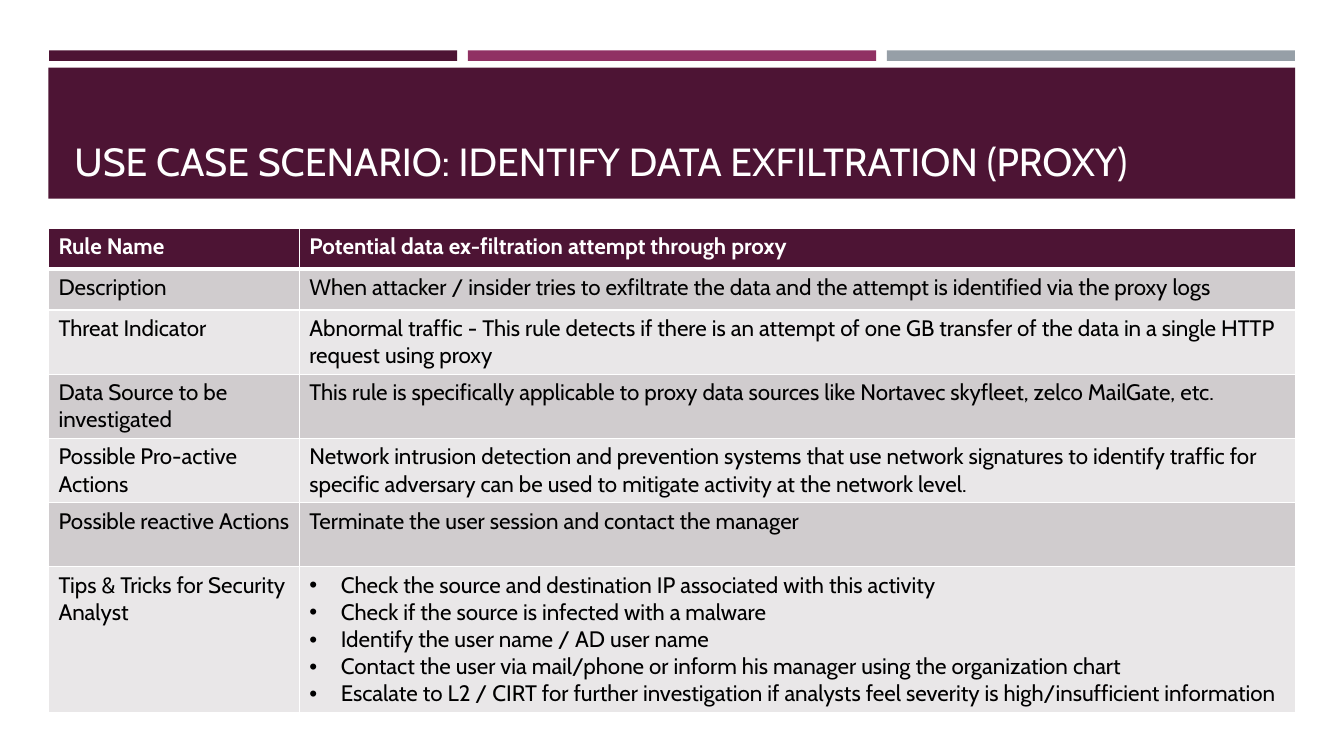
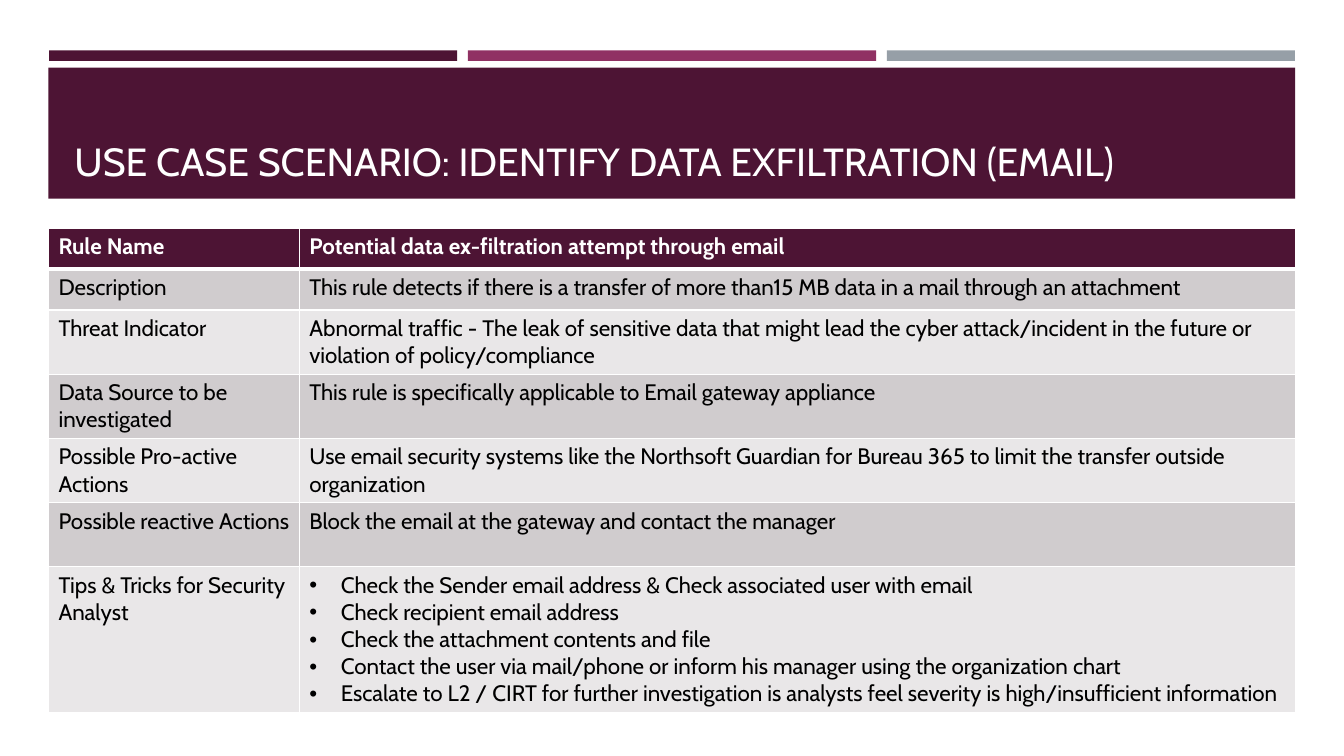
from lxml import etree
from pptx import Presentation
from pptx.dml.color import RGBColor
from pptx.enum.shapes import MSO_SHAPE
from pptx.enum.text import MSO_ANCHOR, PP_ALIGN
from pptx.oxml.ns import qn
from pptx.util import Pt

RECT = MSO_SHAPE.RECTANGLE
LOW = MSO_ANCHOR.BOTTOM
LEFT = PP_ALIGN.LEFT
FONT = "Cabin"
PLUM, ROSE, GREY = "4D1434", "903163", "969FA7"
WHITE, BLACK = "FFFFFF", "000000"
DARK, LIGHT = "D0CCCE", "E9E7E8"
EDGE, WIDE = 34.6, 890.6
COLS = [179.2, 711.4]
ROWS = [29.2, 29.2, 45.7, 45.7, 45.7, 45.7, 104.2]
LABELS = [
    "Rule Name",
    "Description",
    "Threat Indicator",
    "Data Source to be investigated",
    "Possible Pro-active Actions",
    "Possible reactive Actions",
    "Tips & Tricks for Security Analyst",
]
PAGES = [
    ("USE CASE SCENARIO: IDENTIFY DATA EXFILTRATION (PROXY)", [
        "Potential data ex-filtration attempt through proxy",
        "When attacker / insider tries to exfiltrate the data and the attempt is identified via the proxy logs",
        "Abnormal traffic - This rule detects if there is an attempt of one GB transfer of the data in a single HTTP request using proxy",
        "This rule is specifically applicable to proxy data sources like Nortavec skyfleet, zelco MailGate, etc.",
        "Network intrusion detection and prevention systems that use network signatures to identify traffic for specific adversary can be used to mitigate activity at the network level.",
        "Terminate the user session and contact the manager",
        "Check the source and destination IP associated with this activity\n"
        "Check if the source is infected with a malware\n"
        "Identify the user name / AD user name\n"
        "Contact the user via mail/phone or inform his manager using the organization chart\n"
        "Escalate to L2 / CIRT for further investigation if analysts feel severity is high/insufficient information",
    ]),
    ("USE CASE SCENARIO: IDENTIFY DATA EXFILTRATION (EMAIL)", [
        "Potential data ex-filtration attempt through email",
        "This rule detects if there is a transfer of more than15 MB data in a mail through an attachment",
        "Abnormal traffic - The leak of sensitive data that might lead the cyber attack/incident in the future or violation of policy/compliance",
        "This rule is specifically applicable to Email gateway appliance",
        "Use email security systems like the Northsoft Guardian for Bureau 365 to limit the transfer outside organization",
        "Block the email at the gateway and contact the manager",
        "Check the Sender email address & Check associated user with email\n"
        "Check recipient email address\n"
        "Check the attachment contents and file\n"
        "Contact the user via mail/phone or inform his manager using the organization chart\n"
        "Escalate to L2 / CIRT for further investigation is analysts feel severity is high/insufficient information",
    ]),
]


def paint(color, value):
    color.rgb = RGBColor.from_string(value)


def style(para, size, value, bold=False):
    for run in para.runs:
        run.font.name = FONT
        run.font.size = Pt(size)
        run.font.bold = bold
        paint(run.font.color, value)


deck = Presentation()
deck.slide_width, deck.slide_height = Pt(960), Pt(540)
layout = deck.slide_layouts[5]
slides = [deck.slides.add_slide(layout) for page in PAGES]

head = layout.placeholders[0]
head.left, head.top, head.width, head.height = Pt(46), Pt(55.4), Pt(868.4), Pt(80)
head.text_frame.vertical_anchor = LOW

bands = [(EDGE, 48.4, WIDE, 93.6, PLUM)]
for i, fill in enumerate([PLUM, ROSE, GREY]):
    bands.append((35 + i * 299.2, 36, 291.6, 7.6, fill))
for left, top, width, height, fill in bands:
    band = slides[0].shapes.add_shape(RECT, Pt(left), Pt(top), Pt(width), Pt(height))
    band.shadow.inherit = False
    band.fill.solid()
    paint(band.fill.fore_color, fill)
    band.line.fill.background()
    layout.shapes.element.insert(2, band.element)

for slide, (title, facts) in zip(slides, PAGES):
    slide.shapes.title.text_frame.text = title
    para = slide.shapes.title.text_frame.paragraphs[0]
    para.alignment = LEFT
    style(para, 28, WHITE)

    frame = slide.shapes.add_table(
        len(ROWS), len(COLS), Pt(EDGE), Pt(163), Pt(WIDE), Pt(sum(ROWS)))
    table = frame.table
    table.horz_banding = False
    for col, width in zip(table.columns, COLS):
        col.width = Pt(width)
    for r, pair in enumerate(zip(LABELS, facts)):
        table.rows[r].height = Pt(ROWS[r])
        for c, text in enumerate(pair):
            cell = table.cell(r, c)
            cell.text_frame.text = text
            cell.fill.solid()
            paint(cell.fill.fore_color, PLUM if r == 0 else DARK if r % 2 else LIGHT)
            props = cell.fill._xPr
            for n, side in enumerate(["lnL", "lnR", "lnT", "lnB"]):
                thick = (r, side) in [(0, "lnB"), (1, "lnT")]
                line = etree.Element(qn("a:" + side), w=str(Pt(3 if thick else 1)))
                solid = etree.SubElement(line, qn("a:solidFill"))
                etree.SubElement(solid, qn("a:srgbClr"), val=WHITE)
                props.insert(n, line)
            for para in cell.text_frame.paragraphs:
                style(para, 16, BLACK if r else WHITE, r == 0)
                if "\n" in text:
                    form = para._p.get_or_add_pPr()
                    form.set("marL", str(Pt(22.5)))
                    form.set("indent", str(-Pt(22.5)))
                    etree.SubElement(form, qn("a:buFont"), typeface="Arial")
                    etree.SubElement(form, qn("a:buChar"), char="•")

deck.save("out.pptx")
